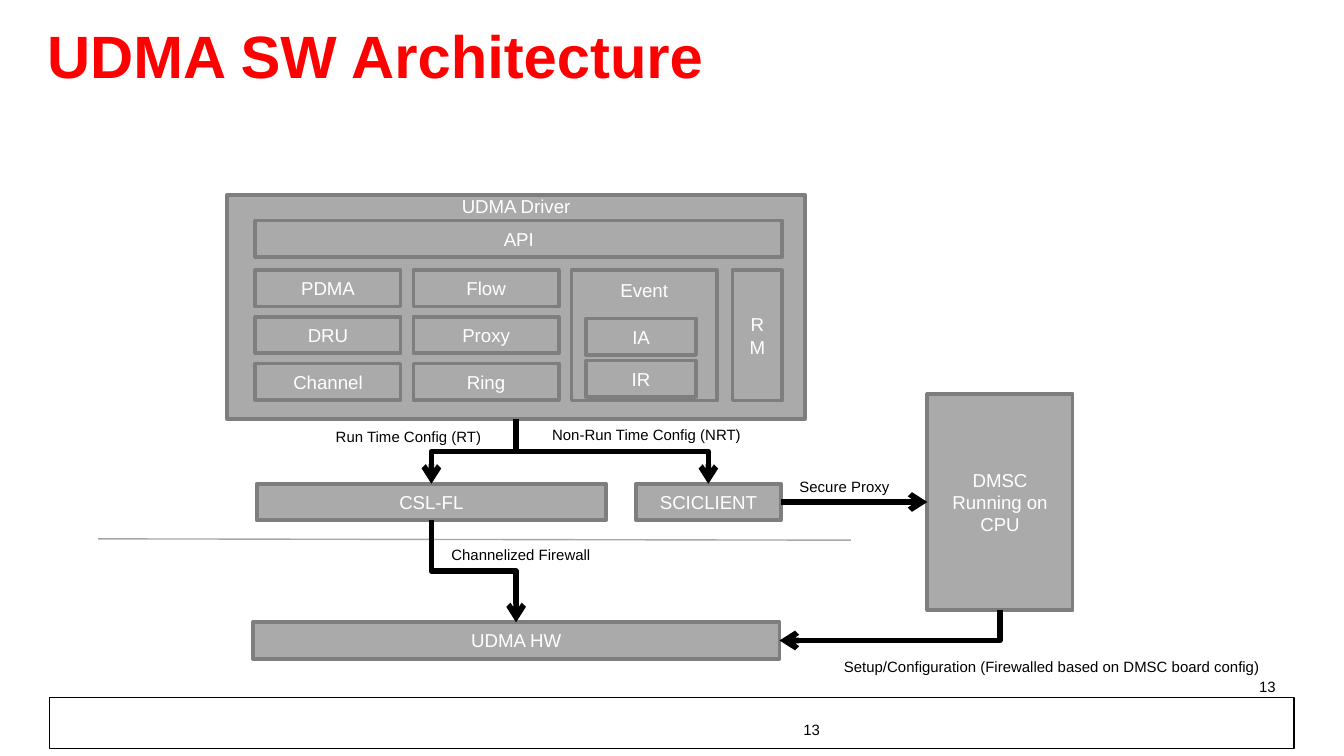
from pptx import Presentation
from pptx.dml.color import RGBColor
from pptx.enum.shapes import MSO_CONNECTOR as Link, MSO_SHAPE as Shape
from pptx.enum.text import MSO_ANCHOR as Anchor, MSO_AUTO_SIZE as Fit, PP_ALIGN as Align
from pptx.oxml.ns import qn
from pptx.util import Pt
from lxml.etree import SubElement

RED = RGBColor(0xFF, 0x00, 0x00)
BLACK = RGBColor(0x00, 0x00, 0x00)
WHITE = RGBColor(0xFF, 0xFF, 0xFF)
FILL = RGBColor(0xAA, 0xAA, 0xAA)
EDGE = RGBColor(0x7E, 0x7E, 0x7E)
RULE = RGBColor(0xA6, 0xA6, 0xA6)


def write(box, text, size, color, align, bold=False, **frame_format):
    """Put one formatted paragraph into a shape."""
    frame = box.text_frame
    for name, value in frame_format.items():
        setattr(frame, name, value)
    para = frame.paragraphs[0]
    para.alignment = align
    span = para.add_run()
    span.text = text
    span.font.color.rgb = color
    for name, value in {"name": "Arial", "size": Pt(size), "bold": bold}.items():
        setattr(span.font, name, value)
    return para


def style_line(line, color, width, arrow=False):
    """Format a connector, without shadow and with an optional arrowhead."""
    line.line.color.rgb = color
    line.line.width = Pt(width)
    if arrow:
        SubElement(line.line._get_or_add_ln(), qn("a:tailEnd"), type="arrow")
    SubElement(line._element.spPr, qn("a:effectLst"))


deck = Presentation()
deck.slide_width, deck.slide_height = Pt(720), Pt(405)
page = deck.slides.add_slide(deck.slide_layouts[5])
shapes = page.shapes

# Title
title = shapes.title
for name, value in {"left": 18, "top": 8, "width": 666, "height": 48.2}.items():
    setattr(title, name, Pt(value))
para = write(title, "UDMA SW Architecture", 32, RED, Align.LEFT, bold=True,
             vertical_anchor=Anchor.MIDDLE, auto_size=Fit.NONE)
para.line_spacing = 0.85

# Footer frame and page numbers
footer = shapes.add_shape(Shape.RECTANGLE, Pt(26.6), Pt(373.7), Pt(666.7), Pt(27.4))
footer.shadow.inherit = False
footer.fill.background()
footer.line.color.rgb = BLACK
footer.line.width = Pt(0.75)

for left, top, side, edge in [(275.8, 383.8, 4.3, 2.2), (522.7, 359.3, 7.2, 3.6)]:
    number = shapes.add_textbox(Pt(left), Pt(top), Pt(167.8), Pt(12.2))
    write(number, "13", 8, BLACK, Align.RIGHT, word_wrap=True,
          margin_left=Pt(side), margin_right=Pt(side),
          margin_top=Pt(edge), margin_bottom=Pt(edge))

# Blocks, containers first: text, left, top, width, height
ROW, COLUMN, BAR = 19.5, 77.8, 282.2
LEFT, TOP, COLUMN_STEP, ROW_STEP = 136.8, 144.8, 84.7, 25
blocks = [
    ("UDMA Driver", 121.7, 104.4, 309.6, 120.2),
    ("Event", LEFT + 2 * COLUMN_STEP, TOP, COLUMN, 69.8),
    ("IA", 313.9, 170.7, 59, ROW),
    ("IR", 313.9, 193.1, 59, ROW),
    ("RM", 392.4, TOP, 26.6, 69.8),
    ("API", LEFT, 118.2, BAR, ROW),
    ("CSL-FL", 137.5, 259.2, 187.2, ROW),
    ("SCICLIENT", 340.6, 259.2, COLUMN, ROW),
    ("DMSC Running on CPU", 496.8, 211, COLUMN, 115.9),
    ("UDMA HW", 135.4, 333.4, BAR, ROW),
]
for column, names in enumerate([("PDMA", "DRU", "Channel"), ("Flow", "Proxy", "Ring")]):
    for row, name in enumerate(names):
        blocks.append((name, LEFT + column * COLUMN_STEP, TOP + row * ROW_STEP, COLUMN, ROW))

heading_margins = {"UDMA Driver": 0.2, "Event": 4.6}
placed = {}
for text, *bounds in blocks:
    box = shapes.add_shape(Shape.RECTANGLE, *map(Pt, bounds))
    box.shadow.inherit = False
    box.fill.solid()
    box.fill.fore_color.rgb = FILL
    box.line.color.rgb = EDGE
    box.line.width = Pt(2)
    layout = {"vertical_anchor": Anchor.MIDDLE}
    if text in heading_margins:
        layout = {"vertical_anchor": Anchor.TOP, "margin_top": Pt(heading_margins[text])}
    write(box, text, 10, WHITE, Align.CENTER, word_wrap=True, **layout)
    placed[text] = box

# Divider between software and hardware
divider = shapes.add_connector(Link.STRAIGHT, Pt(52.6), Pt(288.7), Pt(455.8), Pt(289.4))
style_line(divider, RULE, 0.75)

# Straight arrow to the DMSC
secure = shapes.add_connector(Link.STRAIGHT, 0, 0, 0, 0)
secure.begin_connect(placed["SCICLIENT"], 3)
secure.end_connect(placed["DMSC Running on CPU"], 1)
style_line(secure, BLACK, 3, arrow=True)

# Elbow arrows leave downwards: a horizontal elbow turned by 90 degrees
elbows = [
    ("UDMA Driver", "CSL-FL", "bentConnector3"),
    ("UDMA Driver", "SCICLIENT", "bentConnector3"),
    ("CSL-FL", "UDMA HW", "bentConnector3"),
    ("DMSC Running on CPU", "UDMA HW", "bentConnector2"),
]
for source, target, preset in elbows:
    start, end = placed[source], placed[target]
    x1, y1 = start.left + start.width // 2, start.top + start.height
    x2, y2 = end.left + end.width // 2, end.top
    if preset == "bentConnector2":  # enters at the right side
        x2, y2 = end.left + end.width, end.top + end.height // 2
    middle_x, middle_y = (x1 + x2) // 2, (y1 + y2) // 2
    half_run, half_drop = (x2 - x1) // 2, (y2 - y1) // 2
    elbow = shapes.add_connector(Link.ELBOW, middle_x - half_drop, middle_y + half_run,
                                 middle_x + half_drop, middle_y - half_run)
    properties = elbow._element.spPr
    properties.find(qn("a:xfrm")).set("rot", "5400000")
    properties.find(qn("a:prstGeom")).set("prst", preset)
    style_line(elbow, BLACK, 3, arrow=True)

# Connection labels
labels = [
    ("Secure Proxy", 421.2, 252.3, 63.4),
    ("Setup/Configuration (Firewalled based on DMSC board config)", 445, 348.8, 237.6),
    ("Non-Run Time Config (NRT)", 288.7, 224.6, 117.4),
    ("Run Time Config (RT)", 172.8, 225.4, 93.6),
    ("Channelized Firewall", 234.7, 288.7, 90),
]
for text, left, top, width in labels:
    label = shapes.add_textbox(Pt(left), Pt(top), Pt(width), Pt(17.3))
    write(label, text, 8, BLACK, Align.LEFT, word_wrap=False, auto_size=Fit.SHAPE_TO_FIT_TEXT)

deck.save("out.pptx")
